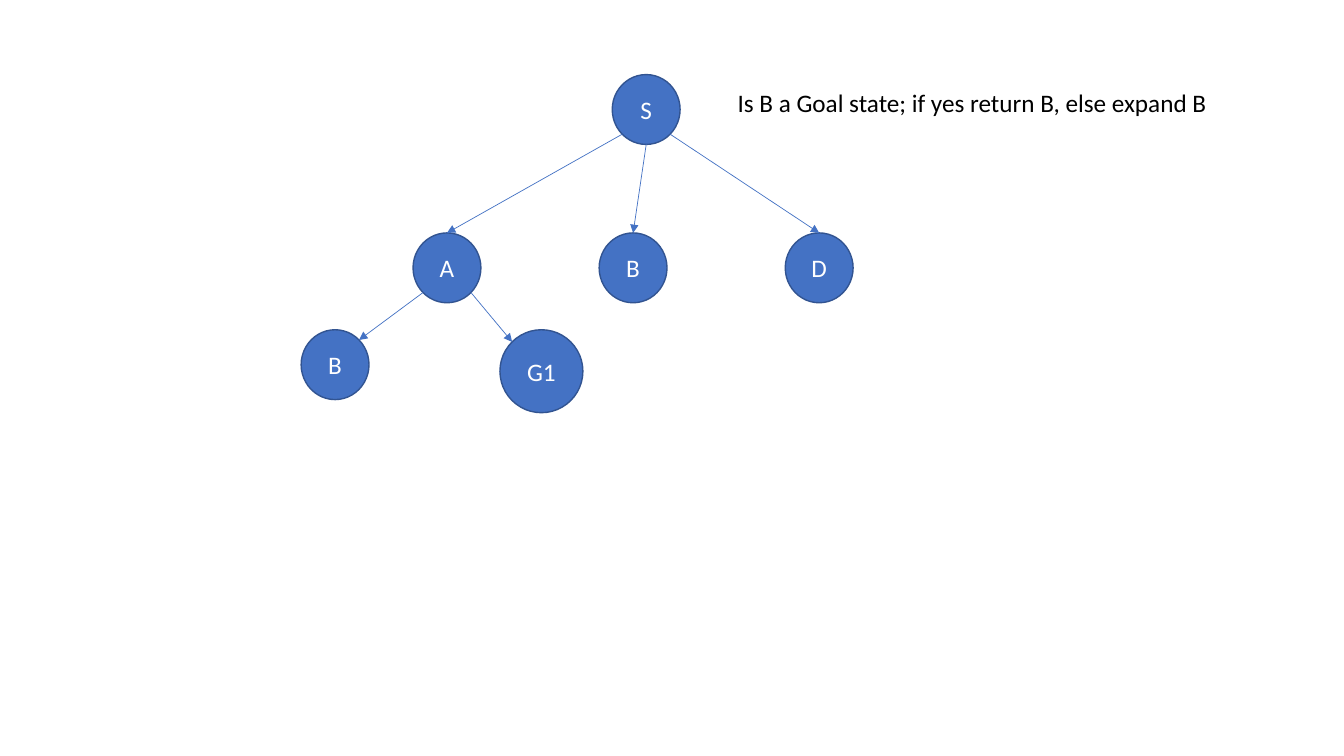
"""Draw a search tree with a note on the goal test."""
from math import hypot
from lxml.etree import SubElement
from pptx import Presentation
from pptx.dml.color import RGBColor
from pptx.enum.shapes import MSO_CONNECTOR, MSO_SHAPE
from pptx.enum.text import MSO_ANCHOR, PP_ALIGN
from pptx.oxml.ns import qn
from pptx.util import Cm, Pt

HUES = {"node": "4472C4", "edge": "325491", "white": "FFFFFF", "black": "000000"}


def style(frame, hue):
    font = frame.paragraphs[0].runs[0].font
    font.name = "Calibri"
    font.size = Pt(18)
    font.color.rgb = RGBColor.from_string(HUES[hue])


def site(node, across, down):
    scale = 1 / hypot(across, down)
    x = node.left + node.width / 2 * (1 + across * scale)
    y = node.top + node.height / 2 * (1 + down * scale)
    return int(x), int(y)


deck = Presentation()
deck.slide_width = Cm(33.87)
deck.slide_height = Cm(19.05)
slide = deck.slides.add_slide(deck.slide_layouts[6])

wide, high, big = 1.71, 1.76, 2.09
top, mid, low = 1.88, 5.87, 8.31
start, step = 10.41, 4.69
spots = {
    "root": ("S", 15.43, top, wide, high),
    "a": ("A", start, mid, wide, high),
    "b": ("B", start + step, mid, wide, high),
    "d": ("D", start + 2 * step, mid, wide, high),
    "leaf": ("B", 7.59, low, wide, high),
    "goal": ("G1", 12.6, low, big, big),
}
nodes = {}
for key, (label, *box) in spots.items():
    node = slide.shapes.add_shape(MSO_SHAPE.OVAL, *map(Cm, box))
    node.shadow.inherit = False
    node.fill.solid()
    node.fill.fore_color.rgb = RGBColor.from_string(HUES["node"])
    node.line.color.rgb = RGBColor.from_string(HUES["edge"])
    node.line.width = Pt(1)
    frame = node.text_frame
    frame.text = label
    frame.vertical_anchor = MSO_ANCHOR.MIDDLE
    frame.paragraphs[0].alignment = PP_ALIGN.CENTER
    style(frame, "white")
    nodes[key] = node

links = [
    ("root", (-1, 1), "a", (0, -1)),
    ("root", (0, 1), "b", (0, -1)),
    ("root", (1, 1), "d", (0, -1)),
    ("a", (-1, 1), "leaf", (1, -1)),
    ("a", (1, 1), "goal", (-1, -1)),
]
for head, leave, tail, reach in links:
    ends = site(nodes[head], *leave) + site(nodes[tail], *reach)
    link = slide.shapes.add_connector(MSO_CONNECTOR.STRAIGHT, *ends)
    if reach == (0, -1):
        link.end_connect(nodes[tail], 0)
    link.line.color.rgb = RGBColor.from_string(HUES["node"])
    link.line.width = Pt(0.5)
    props = link._element.spPr
    SubElement(props.get_or_add_ln(), qn("a:tailEnd"), type="triangle")
    SubElement(props, qn("a:effectLst"))

note = slide.shapes.add_textbox(Cm(18.34), Cm(2.08), Cm(14.91), Cm(1.03))
note.text_frame.word_wrap = True
note.text_frame.text = "Is B a Goal state; if yes return B, else expand B"
style(note.text_frame, "black")

deck.save("out.pptx")
